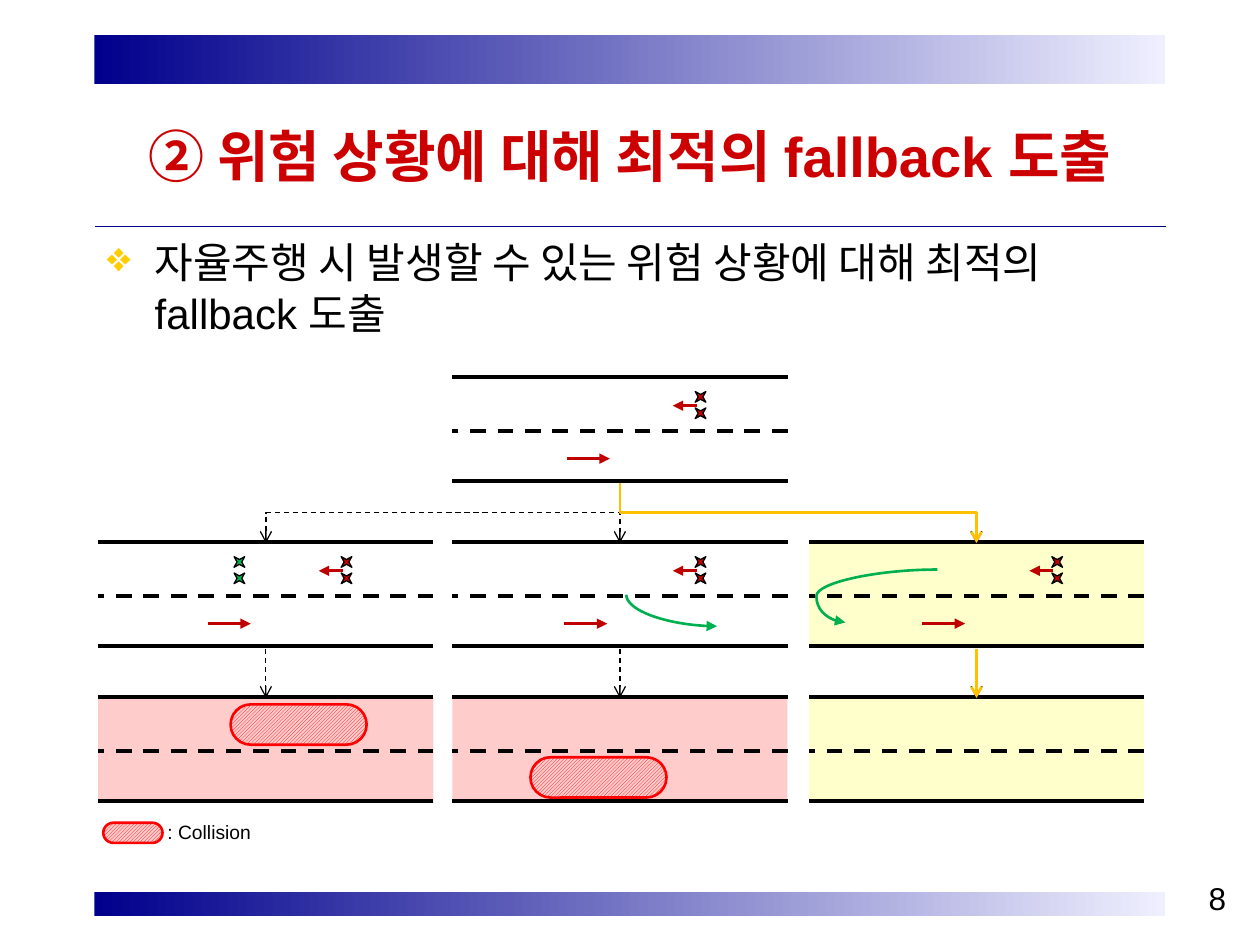
from lxml import etree
from pptx import Presentation
from pptx.dml.color import RGBColor
from pptx.enum import dml, shapes, text
from pptx.oxml.ns import qn
from pptx.util import Inches, Pt

COLORS = {
    "navy": "00008C", "mist": "EFEFFF", "title": "CC0000", "bullet": "FFCC00",
    "black": "000000", "white": "FFFFFF", "safe": "FFFFCC", "crash": "FFCCCC",
    "red": "FF0000", "car": "C00000", "evade": "00B050", "chosen": "FFC000",
}
TITLE = "② 위험 상황에 대해 최적의 fallback 도출"
BODY = "자율주행 시 발생할 수 있는 위험 상황에 대해 최적의 fallback 도출"
LEGEND = ": Collision"
PAGE = "8"

COLUMNS = (0.78, 3.59, 6.42)
ROAD_W, ROAD_H, LANE_Y = 2.66, 0.83, 0.43
START_Y, CHOICE_Y, RESULT_Y = 3.0, 4.31, 5.54
CENTERS = (2.11, 4.92, 7.75)
CHOICES = [("white", 1.65), ("white", 4.48), ("safe", 7.32)]
RESULTS = ["crash", "crash", "safe"]
COLLISIONS = [(4.21, 6.01, 1.08, 0.32), (1.83, 5.59, 1.08, 0.32)]
BARS = [(0.28, 0.39), (7.08, 0.19)]

prs = Presentation()
prs.slide_width, prs.slide_height = Inches(10), Inches(7.5)
slide = prs.slides.add_slide(prs.slide_layouts[6])


def rgb(name):
    return RGBColor.from_string(COLORS[name])


def add_part(kind, box, fill=None, outline=None, weight=0.75):
    part = slide.shapes.add_shape(kind, *map(Inches, box))
    part.shadow.inherit = False
    if fill:
        part.fill.solid()
        part.fill.fore_color.rgb = rgb(fill)
    if outline:
        part.line.color.rgb = rgb(outline)
        part.line.width = Pt(weight)
    else:
        part.line.fill.background()
    return part


def add_bar(top, height):
    bar = add_part(shapes.MSO_SHAPE.RECTANGLE, (0.75, top, 8.5, height))
    bar.fill.gradient()
    bar.fill.gradient_angle = 0
    for stop, name in zip(bar.fill.gradient_stops, ("navy", "mist")):
        stop.color.rgb = rgb(name)


def add_line(start, end, color="black", weight=0.75, dashed=False, head=None,
             kind=shapes.MSO_CONNECTOR.STRAIGHT):
    line = slide.shapes.add_connector(kind, *map(Inches, (*start, *end)))
    line.line.color.rgb = rgb(color)
    line.line.width = Pt(weight)
    if dashed:
        line.line.dash_style = dml.MSO_LINE.DASH
    if head:
        etree.SubElement(line.line._get_or_add_ln(), qn("a:tailEnd"), type=head)
    etree.SubElement(line.element.spPr, qn("a:effectLst"))
    return line


def add_turn(start, end, **style):
    (x1, y1), (x2, y2) = start, end
    cx, cy = (x1 + x2) / 2, (y1 + y2) / 2
    half_w, half_h = (y2 - y1) / 2, abs(x2 - x1) / 2
    rightward = x2 > x1
    if rightward:
        half_w = -half_w
    turn = add_line((cx - half_w, cy - half_h), (cx + half_w, cy + half_h), **style)
    turn.element.spPr.find(qn("a:xfrm")).set("rot", str((270 if rightward else 90) * 60000))
    return turn


def add_text(box, words, size, color="black", bold=False, align=text.PP_ALIGN.LEFT,
             anchor=text.MSO_ANCHOR.TOP, wrap=True, inset=0.05):
    frame = slide.shapes.add_textbox(*map(Inches, box)).text_frame
    frame.word_wrap = wrap
    frame.vertical_anchor = anchor
    frame.margin_top = frame.margin_bottom = Inches(inset)
    para = frame.paragraphs[0]
    para.alignment = align
    run = para.add_run()
    run.text = words
    run.font.name, run.font.size, run.font.bold = "Arial", Pt(size), bold
    run.font.color.rgb = rgb(color)
    return para


def add_road(left, top, fill):
    add_part(shapes.MSO_SHAPE.RECTANGLE, (left, top, ROAD_W, ROAD_H), fill)
    for offset in (0, LANE_Y, ROAD_H):
        y = top + offset - 0.01
        add_line((left + ROAD_W, y), (left, y), weight=2.25, dashed=offset == LANE_Y)


def add_stars(left, top, color):
    for y in (top + 0.09, top + 0.22):
        star = add_part(shapes.MSO_SHAPE.STAR_4_POINT, (left, y, 0.12, 0.12), color, "black")
        star.adjustments[0] = 0.158
        star.rotation = 45


def add_traffic(left, top, car_x):
    car = dict(color="car", weight=1.5, head="triangle")
    add_line((car_x, top + 0.64), (car_x + 0.34, top + 0.64), **car)
    add_line((left + 1.94, top + 0.22), (left + 1.75, top + 0.22), **car)
    add_stars(left + 1.91, top, "car")


def add_collision(box):
    zone = add_part(shapes.MSO_SHAPE.ROUNDED_RECTANGLE, box, outline="red", weight=1.5)
    zone.adjustments[0] = 0.5
    zone.fill.patterned()
    zone.fill.pattern = dml.MSO_PATTERN.LIGHT_UPWARD_DIAGONAL
    zone.fill.fore_color.rgb = rgb("red")
    zone.fill.back_color.rgb = rgb("crash")


for bar in BARS:
    add_bar(*bar)
add_line((0.75, 1.8), (9.25, 1.8), "navy")
add_text((9.33, 6.93, 0.5, 0.4), PAGE, 18, align=text.PP_ALIGN.RIGHT,
         anchor=text.MSO_ANCHOR.MIDDLE, wrap=False)
add_text((0.75, 0.7, 8.5, 1.07), TITLE, 32, "title", True, text.PP_ALIGN.CENTER,
         text.MSO_ANCHOR.MIDDLE, inset=0)
statement = add_text((0.75, 1.83, 8.5, 4.92), BODY, 24)
props = statement._p.get_or_add_pPr()
props.set("marL", str(Inches(0.38)))
props.set("indent", str(Inches(-0.38)))
etree.SubElement(etree.SubElement(props, qn("a:buClr")), qn("a:srgbClr"), val=COLORS["bullet"])
etree.SubElement(props, qn("a:buChar"), char="❖")

rejected = dict(dashed=True, head="arrow")
chosen = dict(color="chosen", weight=1.5, head="arrow")
elbow = shapes.MSO_CONNECTOR.ELBOW
curve = shapes.MSO_CONNECTOR.CURVE

for left, fill in zip(COLUMNS, RESULTS):
    add_road(left, RESULT_Y, fill)
for x in CENTERS:
    add_line((x, 5.15), (x, RESULT_Y), **rejected)
add_line((CENTERS[2], 5.15), (CENTERS[2], RESULT_Y), **chosen)
for box in COLLISIONS:
    add_collision(box)

for left, (fill, car_x) in zip(COLUMNS, CHOICES):
    add_road(left, CHOICE_Y, fill)
    add_traffic(left, CHOICE_Y, car_x)
add_stars(1.84, CHOICE_Y, "evade")

evasion = dict(color="evade", weight=1.5, head="triangle", kind=curve)
swerve = add_turn((4.97, 4.72), (5.69, 4.97), **evasion)
swerve.element.spPr.find(qn("a:prstGeom")).set("prst", "curvedConnector2")
u_turn = add_line((7.44, 4.52), (6.71, 4.94), **evasion)
guides = u_turn.element.spPr.find(qn("a:prstGeom")).get_or_add_avLst()
etree.SubElement(guides, qn("a:gd"), name="adj1", fmla="val 131500")

fork = (CENTERS[1], 3.83)
add_line(fork, (CENTERS[1], CHOICE_Y), **rejected)
for x in (CENTERS[0], CENTERS[2]):
    add_turn(fork, (x, CHOICE_Y), kind=elbow, **rejected)
add_turn(fork, (CENTERS[2], CHOICE_Y), kind=elbow, **chosen)
add_road(COLUMNS[1], START_Y, "white")
add_traffic(COLUMNS[1], START_Y, 4.5)

add_collision((0.82, 6.53, 0.47, 0.16))
add_text((1.23, 6.46, 1.25, 0.29), LEGEND, 11)

prs.save("out.pptx")
